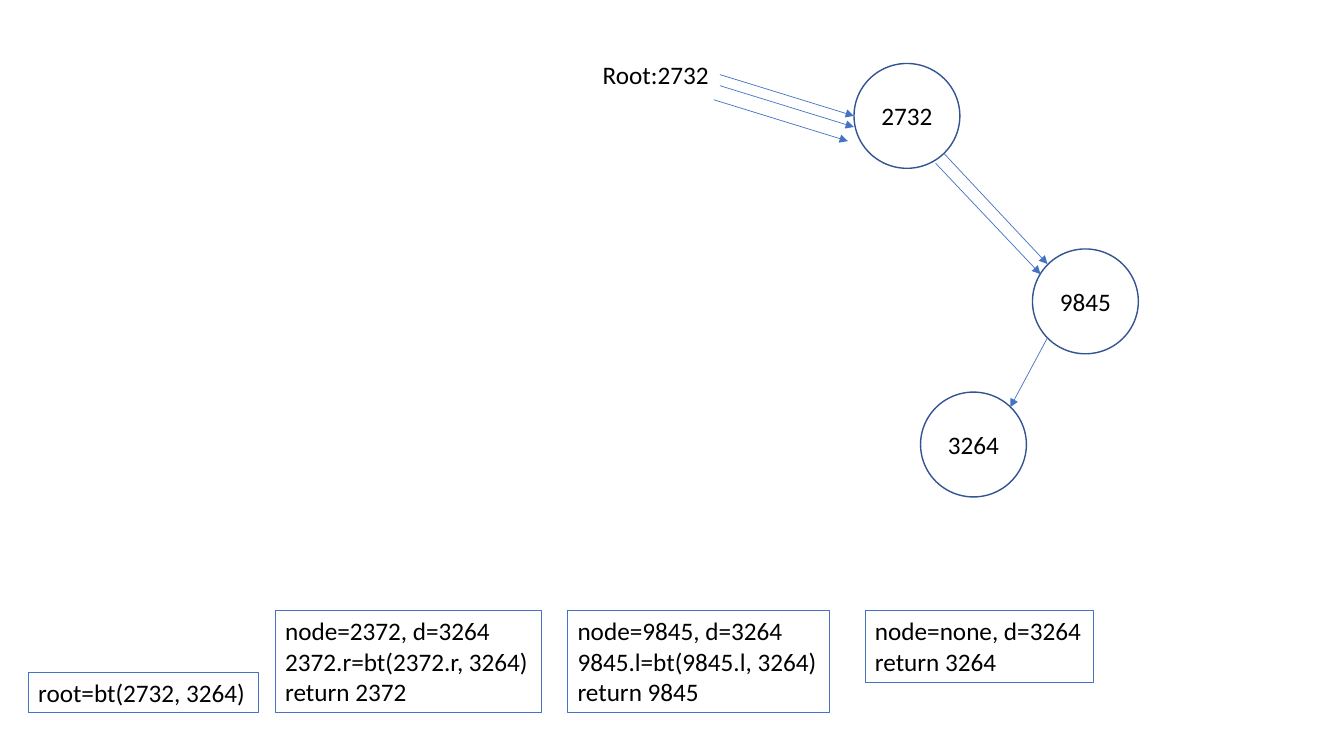
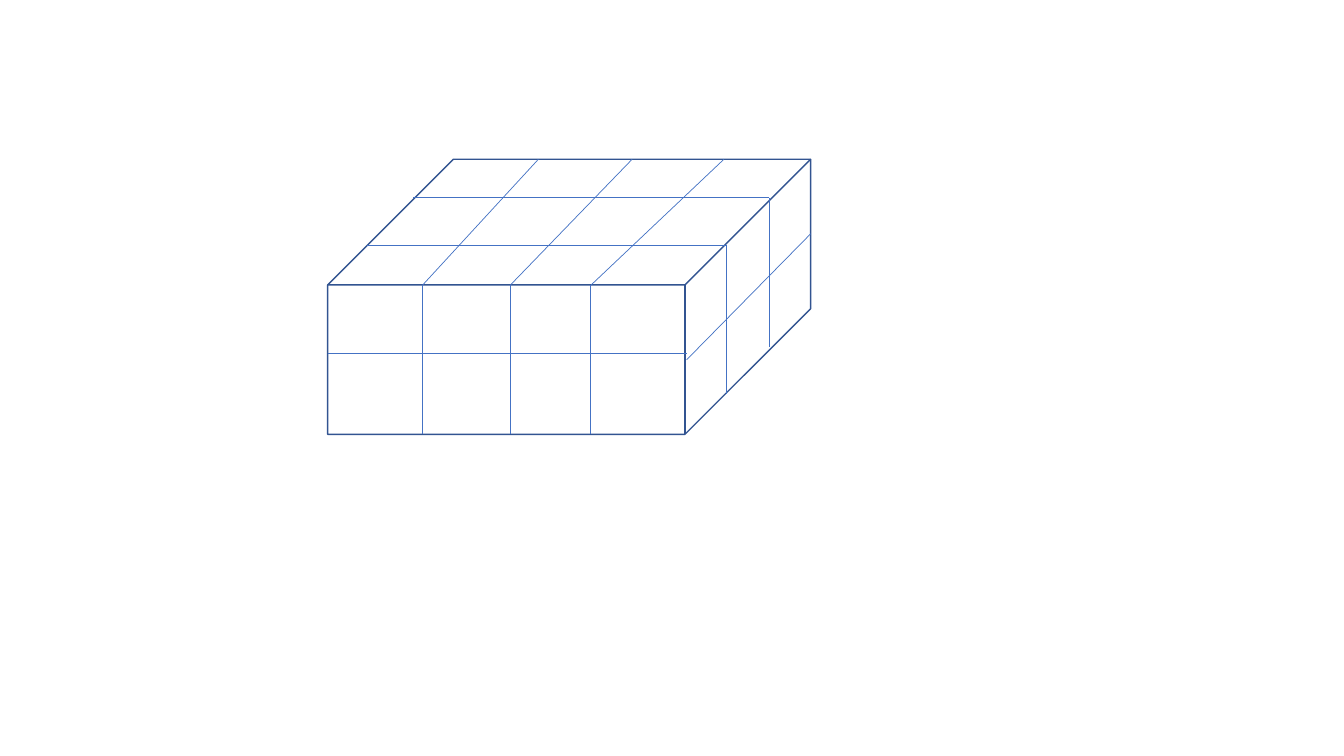
from lxml import etree
from pptx import Presentation
from pptx import util as u
from pptx.dml.color import RGBColor
from pptx.enum import shapes, text
from pptx.oxml.ns import qn

COLORS = {"outline": "325491", "accent": "4472C4", "text": "000000"}
FONT = {"name": "Calibri", "size": u.Pt(18)}
BLANK_LAYOUT = 6
NODE_SIZE = (1.05, 1.04)


def color(name):
    return RGBColor.from_string(COLORS[name])


def set_line(shape, name, width):
    shape.line.color.rgb = color(name)
    shape.line.width = u.Pt(width)


def write_text(shape, lines, align, **frame_format):
    frame = shape.text_frame
    for key, value in frame_format.items():
        setattr(frame, key, value)
    frame.text = "\n".join(lines)
    for paragraph in frame.paragraphs:
        paragraph.alignment = align
        for key, value in FONT.items():
            setattr(paragraph.font, key, value)
        paragraph.font.color.rgb = color("text")


def add_outline(slide, kind, left, top, width, height):
    """Add an unfilled preset shape with a dark outline."""
    shape = slide.shapes.add_shape(kind, *map(u.Inches, (left, top, width, height)))
    shape.shadow.inherit = False
    shape.fill.background()
    set_line(shape, "outline", 1)
    return shape


def add_node(slide, left, top, value):
    node = add_outline(slide, shapes.MSO_SHAPE.OVAL, left, top, *NODE_SIZE)
    write_text(node, [value], text.PP_ALIGN.CENTER,
               vertical_anchor=text.MSO_ANCHOR.MIDDLE)


def add_label(slide, left, top, width, height, lines, framed=True):
    label = slide.shapes.add_textbox(*map(u.Inches, (left, top, width, height)))
    write_text(label, lines, text.PP_ALIGN.LEFT, word_wrap=False,
               auto_size=text.MSO_AUTO_SIZE.SHAPE_TO_FIT_TEXT)
    if framed:
        set_line(label, "accent", 0.75)
    return label


def add_line(slide, start, end, arrow=False):
    connector = slide.shapes.add_connector(
        shapes.MSO_CONNECTOR.STRAIGHT, *map(u.Inches, (*start, *end)))
    set_line(connector, "accent", 0.5)
    if arrow:
        etree.SubElement(connector.line._get_or_add_ln(), qn("a:tailEnd"), type="triangle")
    etree.SubElement(connector._element.spPr, qn("a:effectLst"))
    return connector


def build_tree_slide(slide):
    for left, top, value in ((8.47, 0.63, "2732"), (10.24, 2.47, "9845"),
                             (9.13, 3.89, "3264")):
        add_node(slide, left, top, value)

    root_label = add_label(slide, 5.88, 0.54, 1.26, 0.4, ["Root:2732"], framed=False)
    calls = (
        (0.28, 6.67, 2.28, 0.4, ["root=bt(2732, 3264)"]),
        (2.73, 6.06, 2.64, 1.01,
         ["node=2372, d=3264", "2372.r=bt(2372.r, 3264)", "return 2372"]),
        (5.63, 6.06, 2.6, 1.01,
         ["node=9845, d=3264", "9845.l=bt(9845.l, 3264)", "return 9845"]),
        (8.58, 6.06, 2.27, 0.71, ["node=none, d=3264", "return 3264"]),
    )
    for call in calls:
        add_label(slide, *call)

    root_arrow = add_line(slide, (7.14, 0.75), (8.47, 1.15), arrow=True)
    root_arrow.begin_connect(root_label, 3)
    for start, end in (((7.14, 0.85), (8.47, 1.26)), ((7.08, 0.99), (8.41, 1.4)),
                       ((9.36, 1.52), (10.39, 2.62)), ((9.28, 1.62), (10.32, 2.72)),
                       ((10.39, 3.35), (10.02, 4.04))):
        add_line(slide, start, end, arrow=True)


def build_cube_slide(slide):
    left, right, front_top = 3.25, 6.81, 2.83
    back_top, edge_height = 1.58, 1.48
    cube = add_outline(slide, shapes.MSO_SHAPE.CUBE, left, back_top, 4.79, 2.73)
    cube.adjustments[0] = 0.457

    # Middle row, on the front and then along the side
    add_line(slide, (left, 3.51), (right, 3.51))
    add_line(slide, (right, 3.57), (8.04, 2.32))

    # Columns, up the front and across the top
    for front_x, back_x in ((4.19, 5.34), (5.06, 6.27), (5.86, 7.18)):
        add_line(slide, (front_x, front_top), (front_x, front_top + edge_height))
        add_line(slide, (front_x, front_top), (back_x, back_top))

    # Depth layers, across the top and down the side
    for top_left, side_x, y in ((3.64, 7.2, 2.43), (4.1, 7.63, 1.96)):
        add_line(slide, (top_left, y), (side_x, y))
        add_line(slide, (side_x, y), (side_x, y + edge_height))


def main():
    presentation = Presentation()
    presentation.slide_width = u.Inches(13.33)
    presentation.slide_height = u.Inches(7.5)
    for build in (build_tree_slide, build_cube_slide):
        build(presentation.slides.add_slide(presentation.slide_layouts[BLANK_LAYOUT]))
    presentation.save("out.pptx")


if __name__ == "__main__":
    main()
